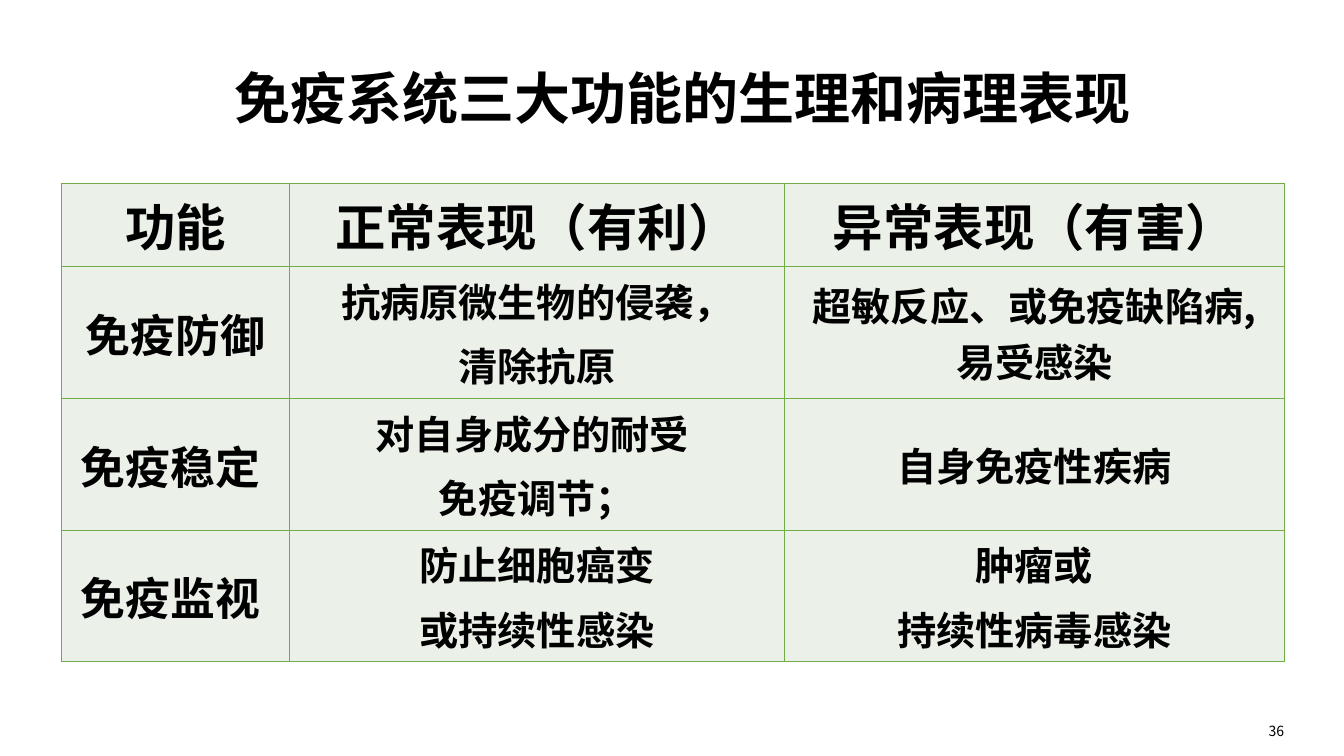
from lxml.etree import SubElement
from pptx import Presentation
from pptx.dml.color import RGBColor
from pptx.enum.text import MSO_ANCHOR, PP_ALIGN
from pptx.oxml.ns import qn
from pptx.util import Inches, Pt

FONT = "Noto Sans CJK SC"
BLACK, CELL_FILL, BORDER = "000000", "EBF1E9", "70AD47"
HEADER_SIZE, FUNCTION_SIZE, BODY_SIZE = 36, 32, 28
COLUMN_WIDTHS = [2.26, 4.91, 4.96]
ROW_HEIGHTS = [0.82, 1.31, 1.31, 1.3]
ROWS = [
    ["功能", "正常表现（有利）", "异常表现（有害）"],
    ["免疫防御", "抗病原微生物的侵袭，\n清除抗原", "超敏反应、或免疫缺陷病,易受感染"],
    ["免疫稳定 ", "对自身成分的耐受 \n免疫调节；", "自身免疫性疾病"],
    ["免疫监视 ", "防止细胞癌变\n或持续性感染", "肿瘤或\n持续性病毒感染"],
]


def rgb(color):
    return RGBColor.from_string(color)


def write_text(tf, text, size, bold=True, color=BLACK, align=PP_ALIGN.CENTER,
               before=0, after=0):
    """Fill a text frame with one paragraph per line of text."""
    for i, line in enumerate(text.split("\n")):
        p = tf.paragraphs[0] if i == 0 else tf.add_paragraph()
        p.alignment = align
        p.line_spacing = 1.0
        p.space_before, p.space_after = Pt(before), Pt(after)
        r = p.add_run()
        r.text = line
        r.font.size, r.font.bold, r.font.name = Pt(size), bold, FONT
        r.font.color.rgb = rgb(color)
        SubElement(r.font._element, qn("a:ea"), typeface=FONT)


def add_cell_borders(cell, color, width):
    tcPr = cell._tc.get_or_add_tcPr()
    for i, side in enumerate(("lnL", "lnR", "lnT", "lnB")):
        ln = tcPr.makeelement(qn(f"a:{side}"), {"w": str(Pt(width))})
        fill = SubElement(ln, qn("a:solidFill"))
        SubElement(fill, qn("a:srgbClr"), val=color)
        tcPr.insert(i, ln)


def add_title(s, text):
    title = s.shapes.title
    title.left, title.top = Inches(2.23), Inches(0.58)
    title.width, title.height = Inches(9.18), Inches(0.77)
    tf = title.text_frame
    tf.word_wrap = False
    tf.vertical_anchor = MSO_ANCHOR.MIDDLE
    write_text(tf, text, 40, align=PP_ALIGN.LEFT, after=6)


def add_function_table(s):
    table = s.shapes.add_table(
        len(ROWS), len(COLUMN_WIDTHS), Inches(0.61), Inches(1.82),
        Inches(sum(COLUMN_WIDTHS)), Inches(sum(ROW_HEIGHTS))).table
    for column, width in zip(table.columns, COLUMN_WIDTHS):
        column.width = Inches(width)
    for row, height in zip(table.rows, ROW_HEIGHTS):
        row.height = Inches(height)
    for i, texts in enumerate(ROWS):
        for j, text in enumerate(texts):
            size = HEADER_SIZE if i == 0 else FUNCTION_SIZE if j == 0 else BODY_SIZE
            cell = table.cell(i, j)
            cell.vertical_anchor = MSO_ANCHOR.MIDDLE
            cell.fill.solid()
            cell.fill.fore_color.rgb = rgb(CELL_FILL)
            add_cell_borders(cell, BORDER, 1)
            write_text(cell.text_frame, text, size, before=0.2 * size)


def add_page_number(s, number):
    box = s.shapes.add_textbox(Inches(12.05), Inches(7.12), Inches(1.22), Inches(0.29))
    box.text_frame.word_wrap = True
    write_text(box.text_frame, number, 10, bold=False)


def main():
    prs = Presentation()
    prs.slide_width, prs.slide_height = Inches(13.33), Inches(7.5)
    s = prs.slides.add_slide(prs.slide_layouts[5])
    add_title(s, "免疫系统三大功能的生理和病理表现")
    add_function_table(s)
    add_page_number(s, "36")
    prs.save("out.pptx")


if __name__ == "__main__":
    main()
